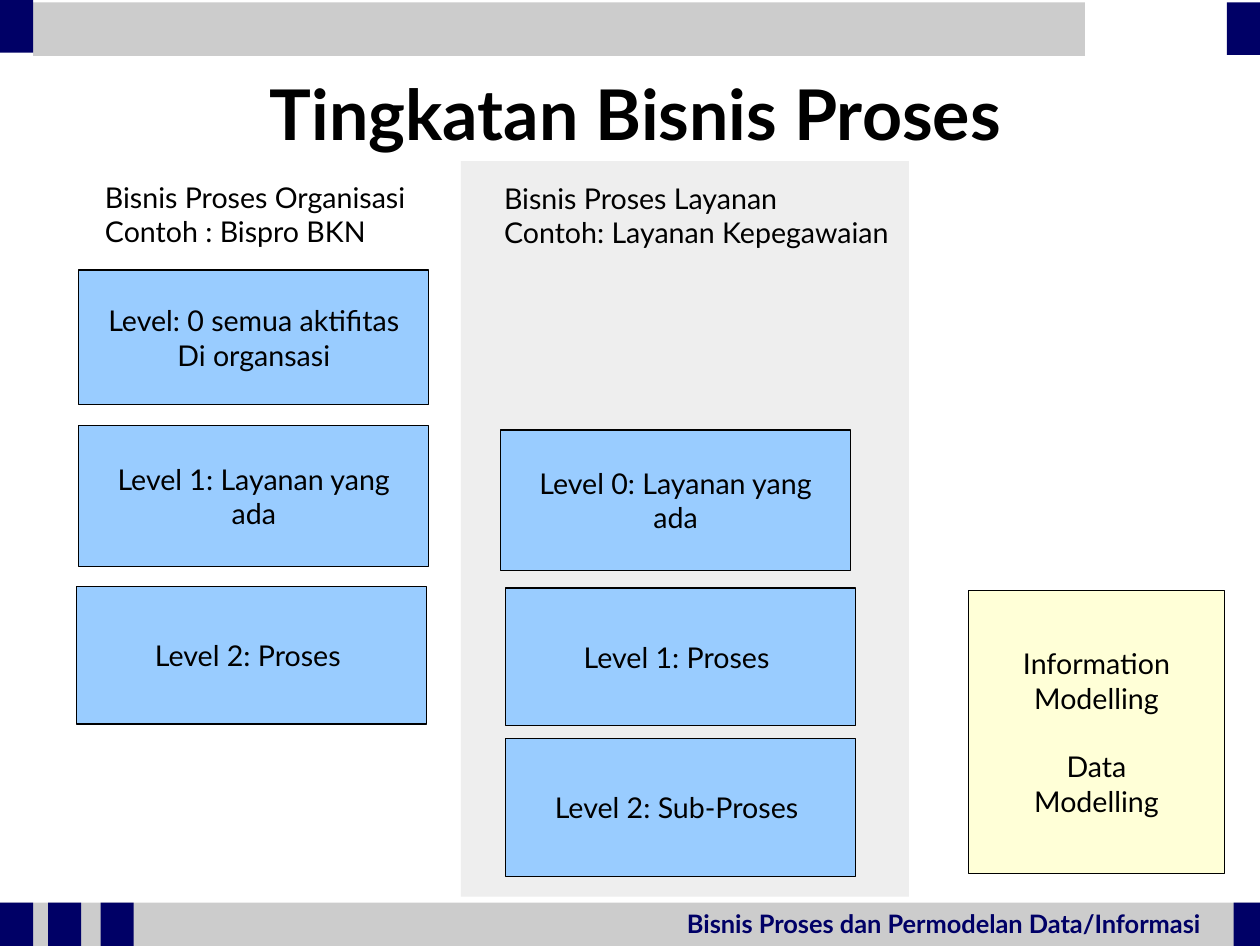
from pptx import Presentation
from pptx.dml.color import RGBColor
from pptx.enum.shapes import MSO_SHAPE
from pptx.enum.text import MSO_ANCHOR, PP_ALIGN
from pptx.util import Inches, Pt

WIDTH, HEIGHT = 11.02, 8.27
FONT = "Lato"
NAVY = RGBColor(0x00, 0x00, 0x66)
GRAY = RGBColor(0xCC, 0xCC, 0xCC)
PANEL = RGBColor(0xEE, 0xEE, 0xEE)
BLUE = RGBColor(0x99, 0xCC, 0xFF)
YELLOW = RGBColor(0xFF, 0xFF, 0xD7)
BLACK = RGBColor(0x00, 0x00, 0x00)


def add_rect(page, left, top, width, height, fill, outlined=False):
    rect = page.shapes.add_shape(MSO_SHAPE.RECTANGLE, Inches(left), Inches(top),
                                 Inches(width), Inches(height))
    rect.shadow.inherit = False
    rect.fill.solid()
    rect.fill.fore_color.rgb = fill
    if outlined:
        rect.line.color.rgb = BLACK
        rect.line.width = Pt(0.75)
    else:
        rect.line.fill.background()
    return rect


def write(shape, text, size=18, color=BLACK, bold=False, align=PP_ALIGN.LEFT):
    """Put one paragraph per line of text into the shape."""
    frame = shape.text_frame
    frame.text = text
    for para in frame.paragraphs:
        para.alignment = align
        for span in para.runs:
            span.font.name = FONT
            span.font.size = Pt(size)
            span.font.bold = bold
            span.font.color.rgb = color
    return frame


def add_label(page, left, top, width, height, text, **style):
    label = page.shapes.add_textbox(Inches(left), Inches(top),
                                    Inches(width), Inches(height))
    frame = write(label, text, **style)
    frame.word_wrap = True
    return frame


def add_card(page, left, top, width, height, text, fill=BLUE):
    card = add_rect(page, left, top, width, height, fill, outlined=True)
    frame = write(card, text, align=PP_ALIGN.CENTER)
    frame.word_wrap = False
    frame.vertical_anchor = MSO_ANCHOR.MIDDLE
    return frame


def add_footer(page, top, height):
    add_rect(page, 0, top, WIDTH, height, GRAY)
    add_label(page, 5.91, top, 4.8, 0.36, "Bisnis Proses dan Permodelan Data/Informasi",
              size=16, color=NAVY, bold=True)
    for left, width in ((0, 0.29), (0.42, 0.29), (0.88, 0.29), (WIDTH - 0.23, 0.23)):
        add_rect(page, left, top, width, height, NAVY)


def add_header(page, block_width, block_height):
    add_rect(page, block_width, 0.02, 9.2, 0.47, GRAY)
    add_rect(page, WIDTH - block_width, 0.02, block_width, block_height, NAVY)
    add_rect(page, 0, 0, block_width, block_height, NAVY)


def add_title(page, left, top, width, height):
    frame = add_label(page, left, top, width, height, "Tingkatan Bisnis Proses",
                      size=44, bold=True, align=PP_ALIGN.CENTER)
    frame.vertical_anchor = MSO_ANCHOR.MIDDLE
    frame.margin_left = frame.margin_right = 0
    frame.margin_top = frame.margin_bottom = 0


def add_level_column(page, left, top, heading, heading_width, levels):
    """Heading at the given corner; levels hold offsets from it, height and text."""
    add_label(page, left, top, heading_width, 0.7, heading)
    for shift, drop, height, text in levels:
        add_card(page, left + shift, top + drop, 3.06, height, text)


def add_modelling(page, left, top, width, height):
    frame = add_card(page, left, top, width, height,
                     "Information\nModelling\nData\nModelling", YELLOW)
    frame.paragraphs[2].space_before = Pt(21.6)


def main():
    deck = Presentation()
    deck.slide_width, deck.slide_height = Inches(WIDTH), Inches(HEIGHT)
    page = deck.slides.add_slide(deck.slide_layouts[6])
    add_footer(page, 7.89, 0.38)
    add_header(page, 0.29, 0.46)
    add_rect(page, 4.03, 1.41, 3.92, 6.43, PANEL)
    add_title(page, 0.52, 0.56, 10.08, 0.84)
    add_level_column(
        page, 0.82, 1.52, "Bisnis Proses Organisasi\nContoh : Bispro BKN", 2.84,
        [(-0.13, 0.84, 1.18, "Level: 0 semua aktifitas\nDi organsasi"),
         (-0.13, 2.2, 1.23, "Level 1: Layanan yang\nada"),
         (-0.15, 3.61, 1.2, "Level 2: Proses ")])
    add_level_column(
        page, 4.31, 1.53, "Bisnis Proses Layanan\nContoh: Layanan Kepegawaian", 3.68,
        [(0.07, 2.23, 1.23, "Level 0: Layanan yang\nada"),
         (0.11, 3.61, 1.2, "Level 1: Proses "),
         (0.11, 4.93, 1.2, "Level 2: Sub-Proses ")])
    add_modelling(page, 8.47, 5.16, 2.24, 2.48)
    deck.save("out.pptx")


if __name__ == "__main__":
    main()
